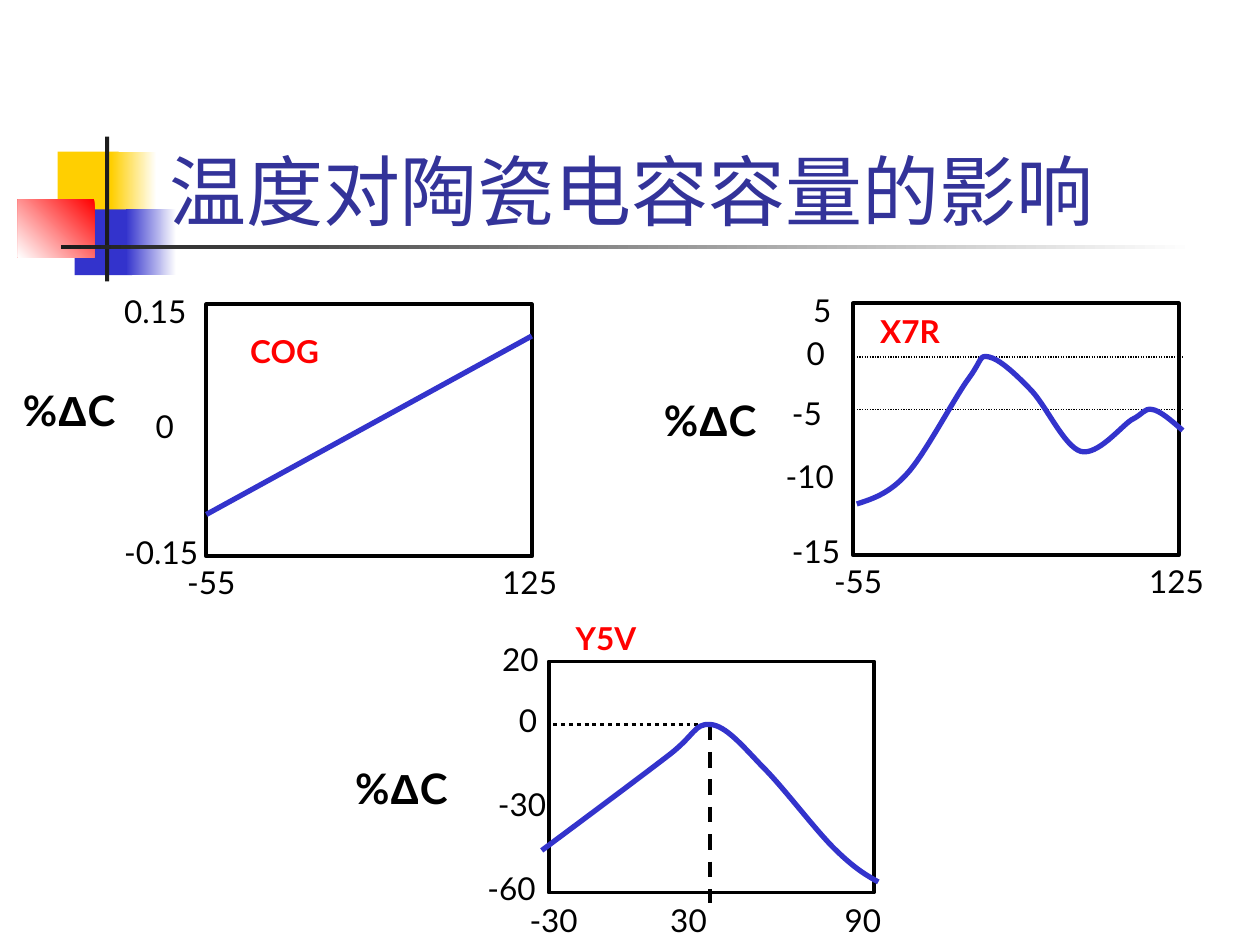
from pptx import Presentation
from pptx.util import Inches, Pt
from pptx.dml.color import RGBColor
from pptx.enum.dml import MSO_LINE_DASH_STYLE as Dash
from pptx.enum.shapes import MSO_CONNECTOR as Conn, MSO_SHAPE as Kind
from pptx.enum.text import MSO_ANCHOR as Anchor
from pptx.oxml.ns import qn
from lxml.etree import SubElement

COLS, ROWS = 120, 90
CELL = Inches(10) / COLS
BLUE, BLACK, RED = "3333CC", "000000", "FF0000"


def grid(*cells):
    return [round(c * CELL) for c in cells]


def tint(code):
    return RGBColor.from_string(code)


def rect(slide, box):
    shape = slide.shapes.add_shape(Kind.RECTANGLE, *grid(*box))
    shape.shadow.inherit = False
    return shape


def block(slide, box, code, fade=None, turn=180):
    shape = rect(slide, box)
    shape.line.fill.background()
    if fade is None:
        shape.fill.solid()
        shape.fill.fore_color.rgb = tint(code)
        return
    shape.fill.gradient()
    shape.fill.gradient_angle = turn
    for stop, shade in zip(shape.fill.gradient_stops, (code, fade)):
        stop.color.rgb = tint(shade)


def label(slide, box, runs, size=18, code=BLACK, bold=False, anchor=Anchor.TOP):
    frame = slide.shapes.add_textbox(*grid(*box)).text_frame
    frame.word_wrap = True
    frame.vertical_anchor = anchor
    para = frame.paragraphs[0]
    para.font.size = Pt(size)
    para.font.bold = bold
    para.font.color.rgb = tint(code)
    para.font.name = "Lato"
    for text, face in runs:
        run = para.add_run()
        run.text = text
        if face != "Lato":
            run.font.name = face


def rule(slide, ends, code, width, dash=None):
    line = slide.shapes.add_connector(Conn.STRAIGHT, *grid(*ends))
    SubElement(line._element.spPr, qn("a:effectLst"))
    line.line.color.rgb = tint(code)
    line.line.width = Pt(width)
    if dash:
        line.line.dash_style = dash


def curve(slide, points):
    pen = slide.shapes.build_freeform(*grid(*points[0]))
    pen.add_line_segments([grid(*p) for p in points[1:]], close=False)
    shape = pen.convert_to_shape()
    legs = list(shape._element.iter(qn("a:lnTo")))
    track = legs[0].getparent()
    for i in range(0, len(legs), 3):
        bend = SubElement(track, qn("a:cubicBezTo"))
        for leg in legs[i:i + 3]:
            bend.append(leg[0])
            track.remove(leg)
    shape.shadow.inherit = False
    shape.fill.background()
    shape.line.color.rgb = tint(BLUE)
    shape.line.width = Pt(3)


def header(slide, box):
    x, y, w, h = box
    for dx, dy, bw, bh, *look in (
        (3.8, 1.45, 5.8, 6.2, "FFCF01"),
        (8.9, 1.45, 4.3, 6.2, "FFFFFF", "FFCF01"),
        (5.4, 6.95, 5.5, 6.25, BLUE),
        (10.3, 6.95, 4.8, 6.25, "FFFFFF", BLUE),
        (0, 6, 7.3, 5.5, RED, "FFFFFF", 225),
        (8.3, 0, 0.4, h, "1C1C1C"),
        (4.1, 10.35, 108, 0.4, "FFFFFF", "1C1C1C"),
    ):
        block(slide, (x + dx, y + dy, bw, bh), *look)
    label(slide, (x + 13.3, y - 4.92, w - 13.3, 15), [("温度对陶瓷电容容量的影响", "Lato")],
          44, "333399", anchor=Anchor.BOTTOM)


def plot(slide, box, name, unit, marks, rules=(), trace=()):
    x, y, w, h = box
    frame = rect(slide, box)
    frame.fill.background()
    frame.line.color.rgb = tint(BLACK)
    frame.line.width = Pt(2.25)
    for text, dx, dy, wide in marks:
        label(slide, (x + dx, y + dy, wide, 4.8), [(text, "Lato")])
    for (ax, ay, bx, by), *look in rules:
        rule(slide, (x + ax, y + ay, x + bx, y + by), *look)
    if trace:
        curve(slide, [(x + px, y + py) for px, py in trace])
    text, dx, dy = name
    label(slide, (x + dx, y + dy, 10, 4.8), [(text, "Lato")], code=RED, bold=True)
    dx, dy, wide = unit
    label(slide, (x + dx, y + dy, wide, 6),
          [("%", "Lato"), ("Δ", "Arial"), ("C", "Lato")], 24, bold=True)


def main():
    deck = Presentation()
    deck.slide_width, deck.slide_height = grid(COLS, ROWS)
    slide = deck.slides.add_slide(deck.slide_layouts[6])
    header(slide, (1.7, 13, 115.5, 13.8))
    ends = [("-55", -3, 24, 10), ("125", 27, 24, 10)]
    plot(slide, (19.65, 29, 31, 24), ("COG", 3, 2), (-18.65, 7, 13),
         [("0.15", -9, -1.8, 12), ("0", -6, 9.15, 7), ("-0.15", -9, 21.15, 12)] + ends,
         [((0, 20, 31, 3), BLUE, 3)])
    plot(slide, (81.25, 28.9, 31, 24), ("X7R", 1.4, 0.25), (-19.2, 8.05, 15),
         [("5", -5, -1.8, 7.3), ("0", -5.6, 2.3, 7), ("-5", -7, 8.05, 9.4),
          ("-10", -7.6, 14.05, 9.4), ("-15", -7, 21.15, 9.4)] + ends,
         [((0.35, row, 31.4, row), BLACK, 0.75, Dash.ROUND_DOT) for row in (5.1, 10.1)],
         [(0.35, 19.1), (1.9, 18.6), (3.5, 18.1), (5.25, 16.1), (7, 14.1),
          (9.7, 8.9), (11.05, 7.1), (12.35, 5.3), (12, 4.9), (12.95, 5.1),
          (13.9, 5.3), (15.35, 6.6), (16.8, 8.1), (18.35, 9.6), (20.05, 13.6),
          (21.7, 14.1), (23.3, 14.5), (25.45, 11.8), (26.5, 11.1), (27.7, 10.5),
          (27.7, 10), (28.45, 10.1), (29.25, 10.2), (30.35, 11.2), (31.4, 12.1)])
    plot(slide, (52.25, 63, 31, 22), ("Y5V", 1.4, -4.65), (-19.6, 9, 15),
         [("20", -5.6, -2.6, 7), ("0", -4, 3.2, 4.3), ("-30", -6, 11.2, 9.4),
          ("-60", -7, 19.2, 9.4), ("-30", -3, 22.2, 10), ("30", 10.4, 22.2, 10),
          ("90", 27, 22.2, 10)],
         [((0.45, 6, 14.35, 6), BLACK, 2.25, Dash.ROUND_DOT),
          ((15.4, 6, 15.4, 23), BLACK, 2.25, Dash.DASH)],
         [(-0.65, 18), (4.05, 14.5), (8.75, 11), (11.35, 9), (14, 7), (13.85, 5.9),
          (15.4, 6), (16.85, 6.1), (18.45, 8), (20.35, 10), (22.4, 12),
          (25.5, 16.2), (27.4, 18), (29.25, 19.8), (30.35, 20.4), (31.4, 21)])
    deck.save("out.pptx")


if __name__ == "__main__":
    main()
